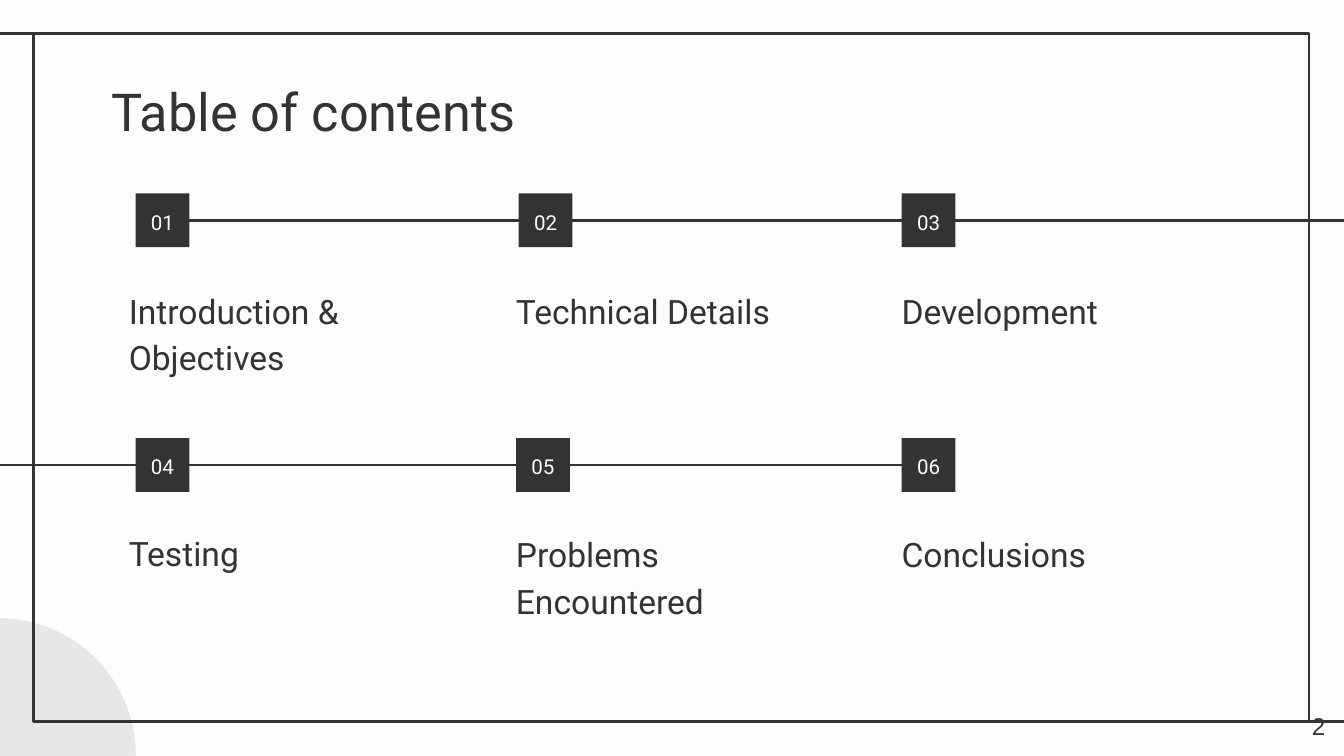
from pptx import Presentation
from pptx.dml.color import RGBColor
from pptx.enum.shapes import MSO_CONNECTOR, MSO_SHAPE
from pptx.enum.text import MSO_ANCHOR, PP_ALIGN
from pptx.oxml.ns import qn
from pptx.util import Inches, Pt
from lxml import etree

DARK = RGBColor(0x33, 0x33, 0x33)
PAPER = RGBColor(0xFD, 0xFD, 0xFD)
GREY = RGBColor(0xE8, 0xE7, 0xE7)

SQUARE = 0.4
# Each row: top of squares, then (square left, label left, label top, label)
ROWS = [
    (1.44, [(1.01, 0.86, 2.02, "Introduction & Objectives"),
            (3.86, 3.74, 2.02, "Technical Details"),
            (6.71, 6.61, 2.02, "Development")]),
    (3.26, [(1.01, 0.86, 3.82, "Testing"),
            (3.84, 3.74, 3.83, "Problems Encountered"),
            (6.71, 6.61, 3.83, "Conclusions")]),
]


def set_text(sp, text, size, color=DARK, font="Roboto", align=PP_ALIGN.LEFT,
             anchor=MSO_ANCHOR.TOP, spacing=1.0):
    tf = sp.text_frame
    tf.text = text
    tf.word_wrap = True
    tf.vertical_anchor = anchor
    tf.margin_left = tf.margin_right = tf.margin_top = tf.margin_bottom = Inches(0.1)
    p = tf.paragraphs[0]
    p.alignment = align
    p.line_spacing = spacing
    r = p.runs[0]
    r.font.size = Pt(size)
    r.font.name = font
    r.font.color.rgb = color


def add_line(s, x1, y1, x2, y2):
    line = s.shapes.add_connector(MSO_CONNECTOR.STRAIGHT, Inches(x1), Inches(y1),
                                  Inches(x2), Inches(y2))
    line.line.color.rgb = DARK
    line.line.width = Pt(1.5)
    etree.SubElement(line._element.spPr, qn("a:effectLst"))
    return line


def add_box(s, kind, x, y, w, h, fill=None):
    sp = s.shapes.add_shape(kind, Inches(x), Inches(y), Inches(w), Inches(h))
    sp.shadow.inherit = False
    if fill is None:
        sp.fill.background()
        sp.line.color.rgb = DARK
        sp.line.width = Pt(1.5)
    else:
        sp.fill.solid()
        sp.fill.fore_color.rgb = fill
        sp.line.fill.background()
    return sp


def add_label(s, x, y, w, h, text, size, **style):
    tb = s.shapes.add_textbox(Inches(x), Inches(y), Inches(w), Inches(h))
    set_text(tb, text, size, **style)


def add_backdrop(s, x, y, w, h):
    """Corner circle, and a frame whose top and bottom run off the slide."""
    s.background.fill.solid()
    s.background.fill.fore_color.rgb = PAPER
    add_box(s, MSO_SHAPE.OVAL, x - 1.28, y + 4.35, 2.04, 2.04, GREY)
    add_box(s, MSO_SHAPE.RECTANGLE, x, y, w, h)
    add_line(s, x, y, x - 0.28, y)
    add_line(s, x + w + 0.28, y + h, x + w, y + h)


def add_title(s, x, y, w, h, text):
    title = s.shapes.title
    title.left, title.top = Inches(x), Inches(y)
    title.width, title.height = Inches(w), Inches(h)
    set_text(title, text, 28)


def add_row(s, top, items, first):
    """Numbered squares with their labels; returns the squares."""
    squares = []
    for n, (x, label_x, label_y, label) in enumerate(items, first):
        sq = add_box(s, MSO_SHAPE.RECTANGLE, x, top, SQUARE, SQUARE, DARK)
        set_text(sq, f"{n:02d}", 11, color=PAPER, align=PP_ALIGN.CENTER,
                 anchor=MSO_ANCHOR.MIDDLE, spacing=1.15)
        add_label(s, label_x, label_y, 2.52, 0.42, label, 18, spacing=1.15)
        squares.append(sq)
    return squares


def add_contents(s):
    (top1, items1), (top2, items2) = ROWS
    # Lines come first so that the squares sit on them
    y1, y2 = top1 + SQUARE / 2, top2 + SQUARE / 2
    line1 = add_line(s, items1[0][0] + SQUARE, y1, 10.17, y1)
    line2 = add_line(s, -0.18, y2, items2[-1][0], y2)
    line1.begin_connect(add_row(s, top1, items1, 1)[0], 3)
    line2.end_connect(add_row(s, top2, items2, 4)[-1], 1)


def main():
    prs = Presentation()
    # 16:9 slide
    prs.slide_width = Inches(10)
    prs.slide_height = Inches(10 * 9 / 16)
    s = prs.slides.add_slide(prs.slide_layouts[5])
    add_backdrop(s, 0.25, 0.25, 9.49, 5.12)
    add_title(s, 0.73, 0.49, 8.43, 0.63, "Table of contents")
    add_contents(s)
    # Slide number
    add_label(s, 9.36, 5.19, 0.6, 0.43, "2", 13, font="Arial", align=PP_ALIGN.RIGHT)
    prs.save("out.pptx")


if __name__ == "__main__":
    main()
